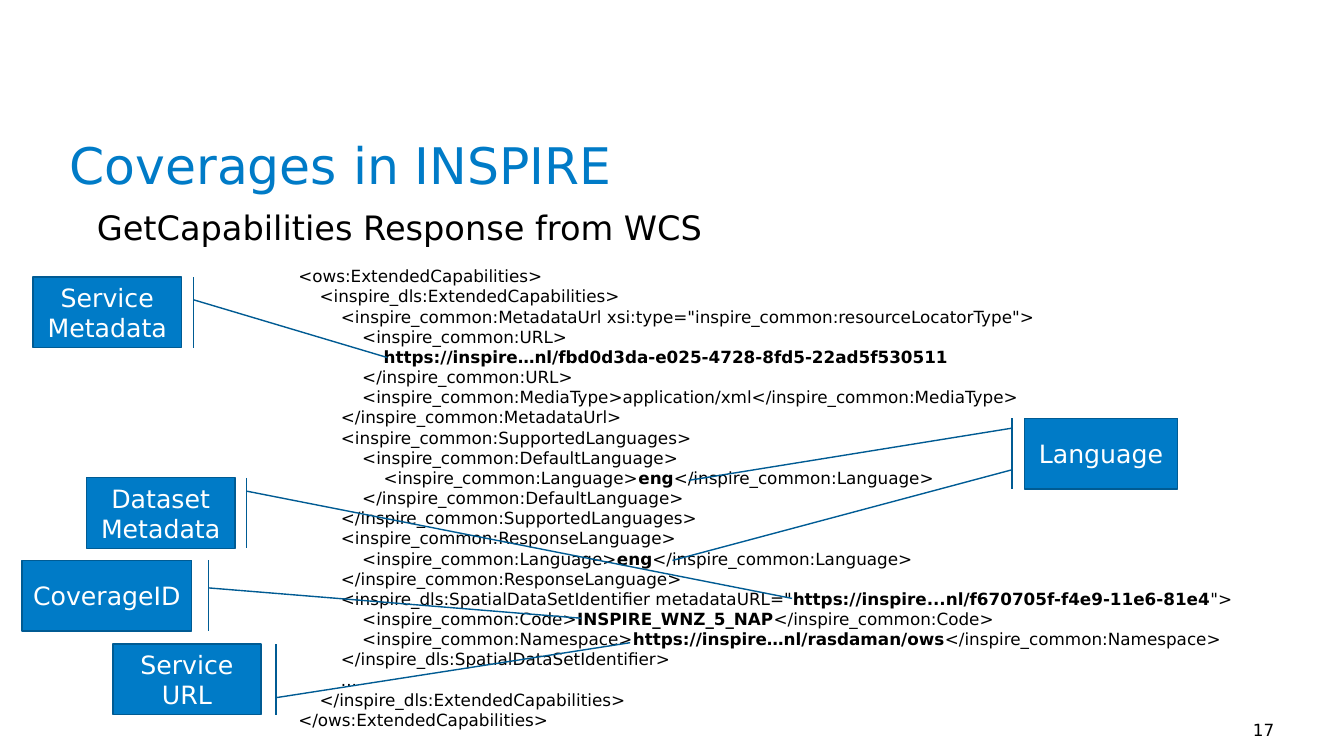
from pptx import Presentation
from pptx.dml.color import RGBColor
from pptx.enum.shapes import MSO_CONNECTOR, MSO_SHAPE
from pptx.enum.text import MSO_ANCHOR, MSO_AUTO_SIZE, PP_ALIGN
from pptx.oxml.ns import qn
from pptx.util import Inches, Pt
from lxml import etree

CALLOUT = MSO_SHAPE.LINE_CALLOUT_1_BORDER_AND_ACCENT_BAR
STRAIGHT = MSO_CONNECTOR.STRAIGHT
TOP, MIDDLE, BOTTOM = MSO_ANCHOR.TOP, MSO_ANCHOR.MIDDLE, MSO_ANCHOR.BOTTOM
LEFT, CENTER, RIGHT = PP_ALIGN.LEFT, PP_ALIGN.CENTER, PP_ALIGN.RIGHT
NO_FIT = MSO_AUTO_SIZE.NONE

BLUE, DARK_BLUE, BLACK, WHITE = "007BC7", "005B93", "000000", "FFFFFF"

BOLD_MARK = "**"
RESPONSE = [
    '<ows:ExtendedCapabilities>',
    '    <inspire_dls:ExtendedCapabilities>',
    '        <inspire_common:MetadataUrl xsi:type="inspire_common:resourceLocatorType">',
    '            <inspire_common:URL>',
    '                **https://inspire…nl/fbd0d3da-e025-4728-8fd5-22ad5f530511**',
    '            </inspire_common:URL>',
    '            <inspire_common:MediaType>application/xml</inspire_common:MediaType>',
    '        </inspire_common:MetadataUrl>',
    '        <inspire_common:SupportedLanguages>',
    '            <inspire_common:DefaultLanguage>',
    '                <inspire_common:Language>**eng**</inspire_common:Language>',
    '            </inspire_common:DefaultLanguage>',
    '        </inspire_common:SupportedLanguages>',
    '        <inspire_common:ResponseLanguage>',
    '            <inspire_common:Language>**eng**</inspire_common:Language>',
    '        </inspire_common:ResponseLanguage>',
    '        <inspire_dls:SpatialDataSetIdentifier metadataURL="**https://inspire...nl/f670705f-f4e9-11e6-81e4**">',
    '            <inspire_common:Code>**INSPIRE_WNZ_5_NAP**</inspire_common:Code>',
    '            <inspire_common:Namespace>**https://inspire…nl/rasdaman/ows**</inspire_common:Namespace>',
    '        </inspire_dls:SpatialDataSetIdentifier>',
    '        ...',
    '    </inspire_dls:ExtendedCapabilities>',
    '</ows:ExtendedCapabilities>',
]

CALLOUTS = [
    ("Service Metadata", 0.33, 2.75, 1.47, (0.32, -0.08, 1.14, -1.39), True),
    ("Language", 10.16, 4.15, 1.52, (0.14, -0.08, 0.88, -2.19), False),
    ("CoverageID", 0.22, 5.56, 1.68, (0.39, -0.1, 0.82, -2.3), True),
    ("Dataset Metadata", 0.86, 4.74, 1.47, (0.19, -0.08, 1.71, -3.76), True),
    ("Service URL", 1.12, 6.39, 1.47, (0.76, -0.1, -0.02, -2.49), True),
]
CALLOUT_HEIGHT = 0.7


def rgb(value):
    return RGBColor.from_string(value)


class SlideBuilder:
    """Adds elements to one slide in a shared style."""

    font = "DejaVu Sans"

    def __init__(self, slide):
        self.s = slide

    def style(self, font, size, color, bold=False):
        font.name = self.font
        font.size = Pt(size)
        font.bold = bold
        font.color.rgb = rgb(color)

    def frame(self, tf, anchor, inset=True):
        tf.word_wrap = True
        tf.auto_size = NO_FIT
        tf.vertical_anchor = anchor
        if not inset:
            tf.margin_left = tf.margin_right = 0
            tf.margin_top = tf.margin_bottom = 0

    def text(self, tf, text, size, color, align):
        tf.text = text
        p = tf.paragraphs[0]
        p.alignment = align
        self.style(p.runs[0].font, size, color)
        return p

    def placeholder(self, index, box, text, size, color):
        sp = self.s.placeholders[index]
        sp.left, sp.top, sp.width, sp.height = map(Inches, box)
        self.frame(sp.text_frame, TOP, inset=False)
        p = self.text(sp.text_frame, text, size, color, LEFT)
        p.line_spacing = 0.9
        p.space_before = Pt(0)
        return p

    def body(self, box, text):
        p = self.placeholder(1, box, text, 24, BLACK)
        pPr = p._p.get_or_add_pPr()
        pPr.set("marL", "0")
        pPr.set("indent", "0")
        etree.SubElement(pPr, qn("a:buNone"))

    def label(self, box, text, align, anchor):
        sp = self.s.shapes.add_textbox(*map(Inches, box))
        self.frame(sp.text_frame, anchor, inset=False)
        self.text(sp.text_frame, text, 12, BLACK, align)

    def code(self, box, lines):
        tf = self.s.shapes.add_textbox(*map(Inches, box)).text_frame
        self.frame(tf, TOP)
        for i, line in enumerate(lines):
            p = tf.add_paragraph() if i else tf.paragraphs[0]
            for j, part in enumerate(line.split(BOLD_MARK)):
                if part:
                    r = p.add_run()
                    r.text = part
                    self.style(r.font, 12, BLACK, bold=j % 2 == 1)

    def callout(self, text, left, top, width, adjustments, flipped):
        box = map(Inches, (left, top, width, CALLOUT_HEIGHT))
        sp = self.s.shapes.add_shape(CALLOUT, *box)
        for i, value in enumerate(adjustments):
            sp.adjustments[i] = value
        if flipped:
            sp._element.spPr.find(qn("a:xfrm")).set("flipH", "1")
        sp.shadow.inherit = False
        sp.fill.solid()
        sp.fill.fore_color.rgb = rgb(BLUE)
        sp.line.color.rgb = rgb(DARK_BLUE)
        sp.line.width = Pt(1)
        self.frame(sp.text_frame, MIDDLE)
        self.text(sp.text_frame, text, 18, WHITE, CENTER)

    def line(self, start, end):
        points = map(Inches, (*start, *end))
        line = self.s.shapes.add_connector(STRAIGHT, *points)
        line.line.color.rgb = rgb("005C95")
        line.line.width = Pt(1)
        etree.SubElement(line._element.spPr, qn("a:effectLst"))


def main():
    prs = Presentation()
    prs.slide_width, prs.slide_height = Inches(13.33), Inches(7.5)
    b = SlideBuilder(prs.slides.add_slide(prs.slide_layouts[1]))
    b.placeholder(0, (0.69, 1.4, 11.96, 0.81), "Coverages in INSPIRE", 36, BLUE)
    b.body((0.96, 2.1, 11.94, 4.34), "GetCapabilities Response from WCS")
    b.label((12.08, 7.14, 0.56, 0.2), "17", RIGHT, BOTTOM)
    b.code((2.86, 2.59, 10.31, 4.75), RESPONSE)
    for callout in CALLOUTS:
        b.callout(*callout)
    b.line((10.04, 4.66), (6.67, 5.56))
    prs.save("out.pptx")


if __name__ == "__main__":
    main()
